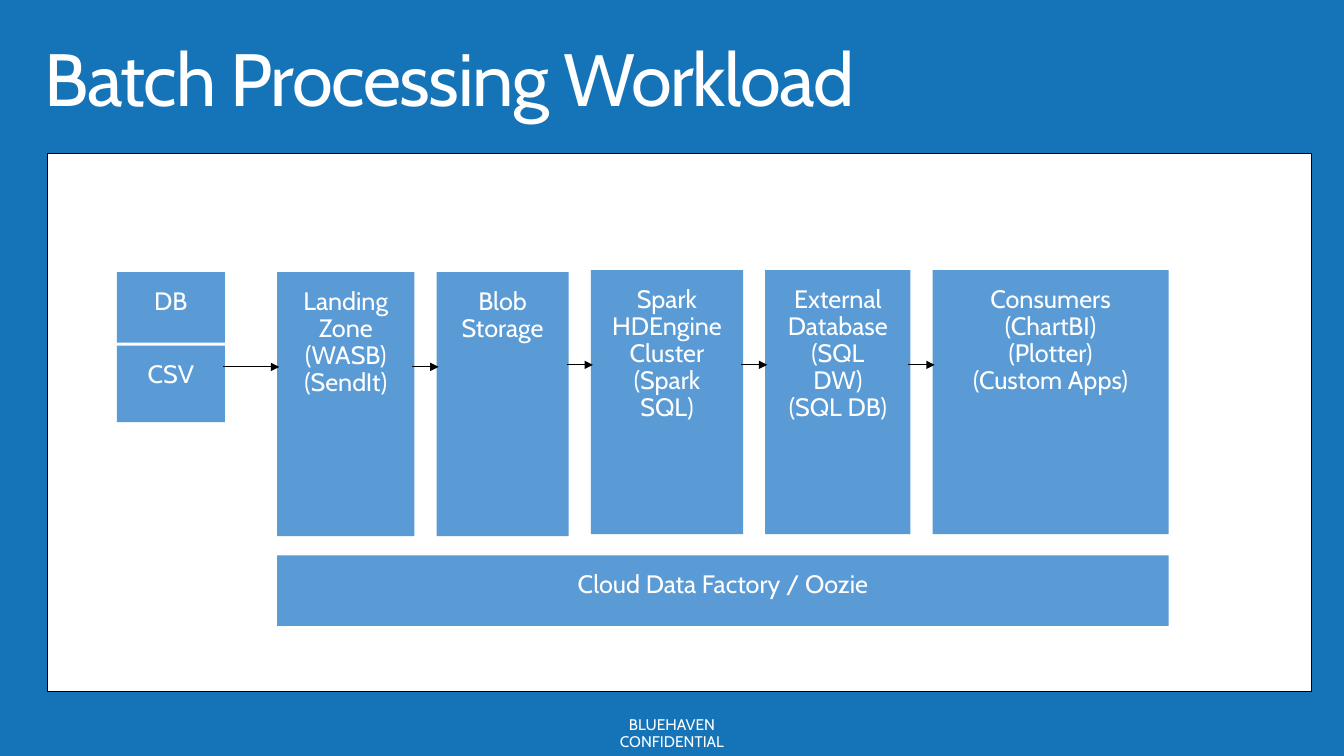
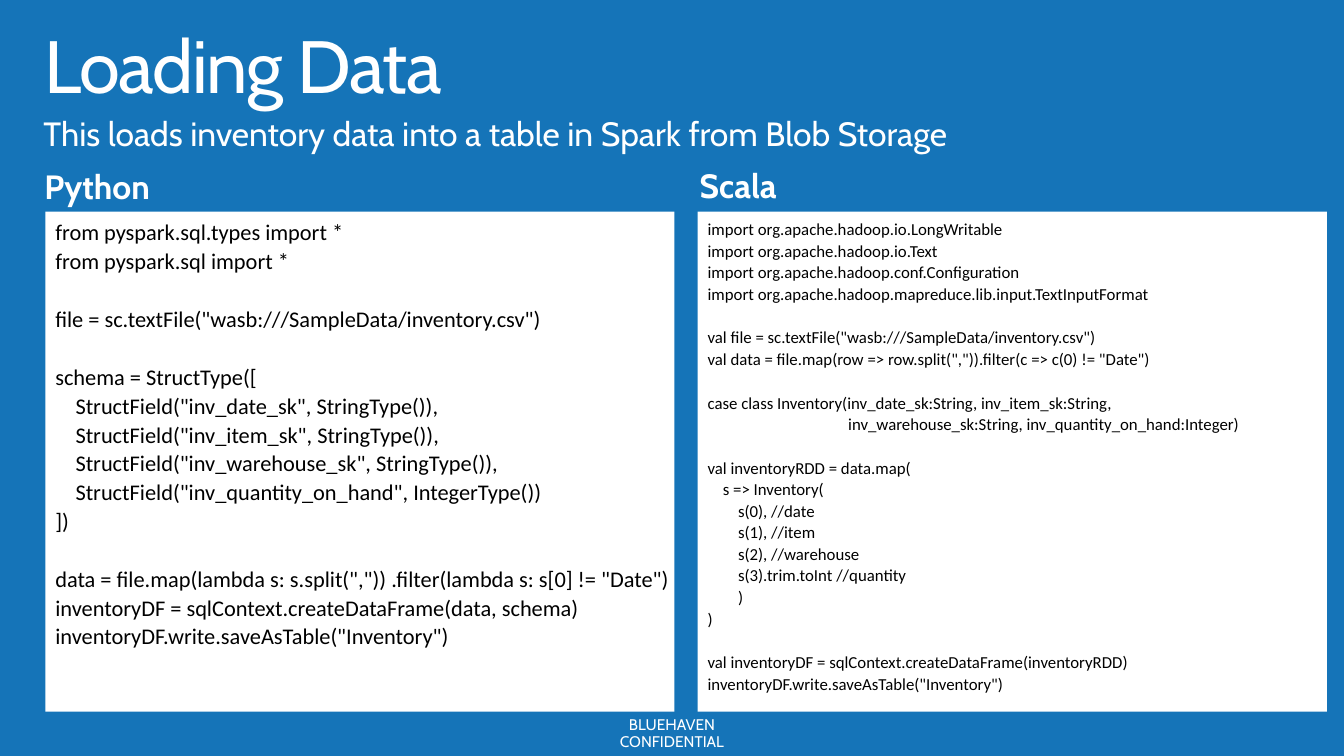
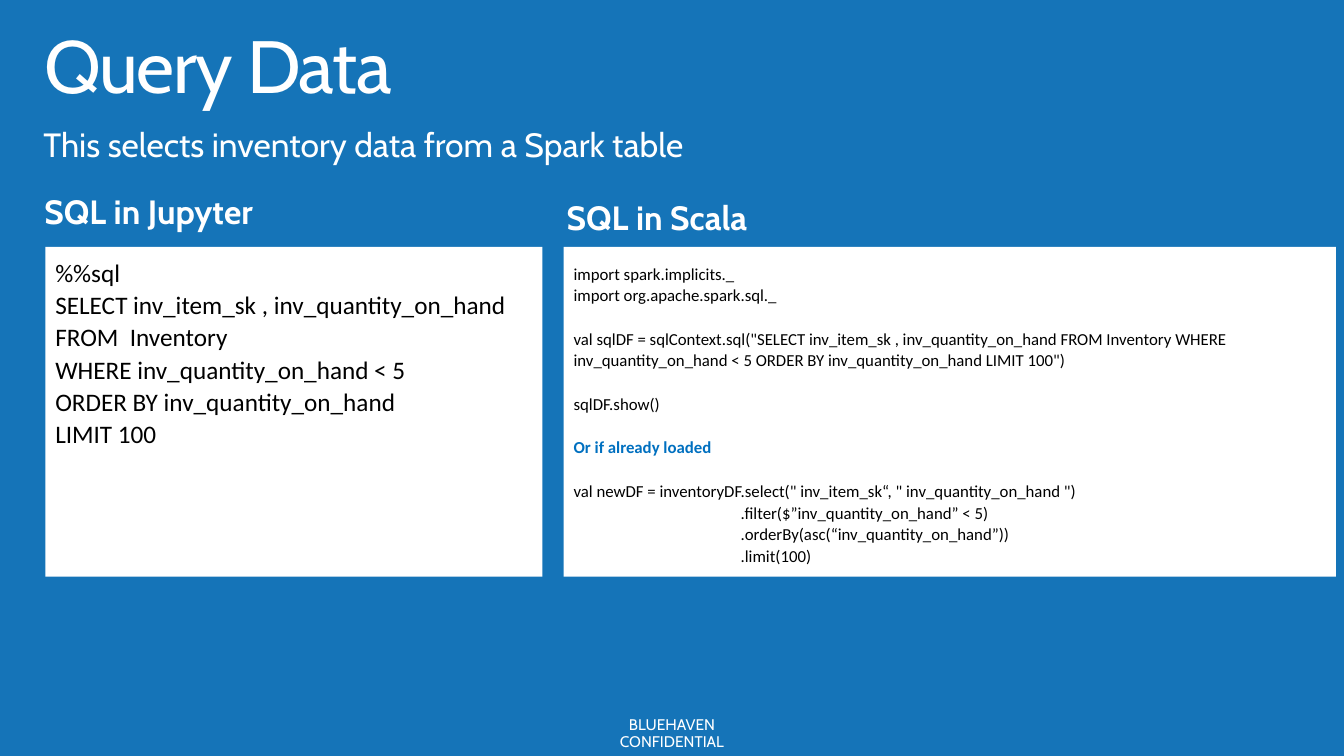
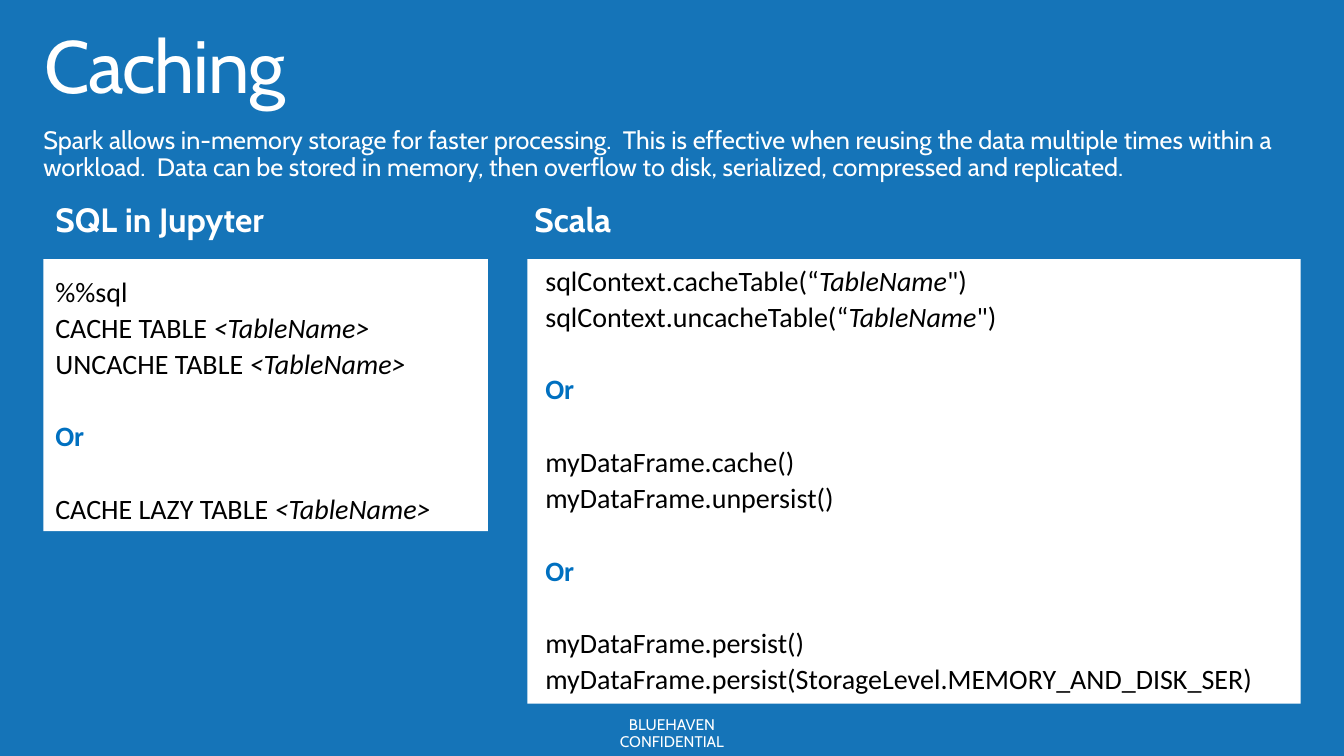
from dataclasses import dataclass

from lxml.etree import SubElement
from pptx import Presentation
from pptx.dml.color import RGBColor
from pptx.enum.shapes import MSO_CONNECTOR, MSO_SHAPE
from pptx.enum.text import MSO_ANCHOR, MSO_AUTO_SIZE, PP_ALIGN
from pptx.oxml.ns import qn
from pptx.util import Inches, Pt


@dataclass(frozen=True)
class Theme:
    back: str = "1574B8"
    panel: str = "FFFFFF"
    box: str = "5B9BD5"
    light: str = "FFFFFF"
    ink: str = "000000"
    accent: str = "0070C0"
    font: str = "Cabin"
    code_font: str = "Calibri"
    title: float = 52.9
    label: float = 24
    body: float = 18
    footer: float = 11
    wide_inset: tuple = (0.2, 0.16)
    title_inset: tuple = (0.16, 0.1)
    code_inset: tuple = (0.1, 0.05)
    tight: float = 0.9
    code_leading: float = 1.07
    code_line: float = 1.31   # height of an empty code line, in ems
    code_space: float = 0.226  # width of a space, in ems


T = Theme()
FOOTER = "BLUEHAVEN CONFIDENTIAL"

# Workflow content: stages run left to right as (width, top, paragraphs)
FLOW_TITLE = "Batch Processing Workload"
SOURCES = [("DB", 2.7, 0.7), ("CSV", 3.43, 0.76)]
STAGES = [
    (1.36, 2.7, ["Landing Zone", "(WASB) (SendIt)"]),
    (1.31, 2.7, ["Blob Storage"]),
    (1.51, 2.68, ["Spark HDEngine Cluster", "(Spark SQL)"]),
    (1.44, 2.68, ["External Database", "(SQL DW)", "(SQL DB)"]),
    (2.34, 2.68, ["Consumers", "(ChartBI)", "(Plotter)", "(Custom Apps)"]),
]
ORCHESTRATION = "Cloud Data Factory / Oozie"

# Code listings: "" opens a gap, (n, text) indents by n spaces
LOAD_PYTHON = [
    "from pyspark.sql.types import *",
    "from pyspark.sql import *",
    "",
    'file = sc.textFile("wasb:///SampleData/inventory.csv")',
    "",
    "schema = StructType([",
    (4, 'StructField("inv_date_sk", StringType()),'),
    (4, 'StructField("inv_item_sk", StringType()),'),
    (4, 'StructField("inv_warehouse_sk", StringType()),'),
    (4, 'StructField("inv_quantity_on_hand", IntegerType())'),
    "])",
    "",
    'data = file.map(lambda s: s.split(",")) .filter(lambda s: s[0] != "Date")',
    "inventoryDF = sqlContext.createDataFrame(data, schema)",
    'inventoryDF.write.saveAsTable("Inventory")',
]
LOAD_SCALA = [
    "import org.apache.hadoop.io.LongWritable",
    "import org.apache.hadoop.io.Text",
    "import org.apache.hadoop.conf.Configuration",
    "import org.apache.hadoop.mapreduce.lib.input.TextInputFormat",
    "",
    'val file = sc.textFile("wasb:///SampleData/inventory.csv")',
    'val data = file.map(row => row.split(",")).filter(c => c(0) != "Date")',
    "",
    "case class Inventory(inv_date_sk:String, inv_item_sk:String,",
    (37, "inv_warehouse_sk:String, inv_quantity_on_hand:Integer)"),
    "",
    "val inventoryRDD = data.map(",
    (4, "s => Inventory("),
    (8, "s(0), //date"),
    (8, "s(1), //item"),
    (8, "s(2), //warehouse"),
    (8, "s(3).trim.toInt //quantity"),
    (8, ")"),
    ")",
    "",
    "val inventoryDF = sqlContext.createDataFrame(inventoryRDD)",
    'inventoryDF.write.saveAsTable("Inventory")',
]
QUERY_SQL = [
    "%%sql",
    "SELECT inv_item_sk , inv_quantity_on_hand",
    "FROM  Inventory",
    "WHERE inv_quantity_on_hand < 5",
    "ORDER BY inv_quantity_on_hand",
    "LIMIT 100",
]
QUERY_SCALA = [
    "import spark.implicits._",
    "import org.apache.spark.sql._",
    "",
    'val sqlDF = sqlContext.sql("SELECT inv_item_sk , inv_quantity_on_hand FROM Inventory WHERE '
    'inv_quantity_on_hand < 5 ORDER BY inv_quantity_on_hand LIMIT 100")',
    "",
    "sqlDF.show()",
    "",
    "Or if already loaded",
    "",
    'val newDF = inventoryDF.select(" inv_item_sk“, " inv_quantity_on_hand ")',
    (44, ".filter($”inv_quantity_on_hand” < 5)"),
    (44, ".orderBy(asc(“inv_quantity_on_hand”))"),
    (44, ".limit(100)"),
]
CACHE_SQL = [
    "%%sql",
    "CACHE TABLE <TableName>",
    "UNCACHE TABLE <TableName>",
    "",
    "Or",
    "",
    "CACHE LAZY TABLE <TableName>",
]
CACHE_SCALA = [
    'sqlContext.cacheTable(“TableName")',
    'sqlContext.uncacheTable(“TableName")',
    "",
    "Or",
    "",
    "myDataFrame.cache()",
    "myDataFrame.unpersist()",
    "",
    "Or",
    "",
    "myDataFrame.persist()",
    "myDataFrame.persist(StorageLevel.MEMORY_AND_DISK_SER)",
]
HINTS = ("Or", "Or if already loaded")
VARIABLES = ("<TableName>", "TableName")

# Code slides: rectangles are (left, top, width, height)
CODE_SLIDES = [
    dict(title="Loading Data",
         intro="This loads inventory data into a table in Spark from Blob Storage",
         intro_at=(0.23, 1.01, 9.98, 0.69), intro_size=T.label, wrap=False,
         columns=[
             dict(label="Python", label_at=(0.24, 1.53, 1.54, 0.69), panel=(0.45, 2.1, 6.24, 4.96),
                  code_at=(0.45, 2.1, 6.35, 4.42), size=16, code=LOAD_PYTHON),
             dict(label="Scala", label_at=(6.74, 1.52, 1.21, 0.69), panel=(6.92, 2.1, 6.24, 4.96),
                  code_at=(6.92, 2.11, 6.35, 4.86), size=12, code=LOAD_SCALA)]),
    dict(title="Query Data",
         intro="This selects inventory data from a Spark table",
         intro_at=(0.23, 1.11, 7.14, 0.69), intro_size=T.label, wrap=False,
         columns=[
             dict(label="SQL in Jupyter", label_at=(0.24, 1.78, 2.7, 0.69), panel=(0.45, 2.45, 4.93, 3.27),
                  code_at=(0.45, 2.48, 4.93, 2.03), size=18, code=QUERY_SQL),
             dict(label="SQL in Scala", label_at=(5.42, 1.84, 2.31, 0.69), panel=(5.59, 2.45, 7.66, 3.27),
                  code_at=(5.59, 2.55, 7.75, 3.1), size=12, code=QUERY_SCALA)]),
    dict(title="Caching",
         intro="Spark allows in-memory storage for faster processing.  This is effective when reusing "
               "the data multiple times within a workload.  Data can be stored in memory, then overflow "
               "to disk, serialized, compressed and replicated.",
         intro_at=(0.23, 1.11, 12.67, 0.87), intro_size=T.body, wrap=True,
         columns=[
             dict(label="SQL in Jupyter", label_at=(0.35, 1.86, 2.7, 0.69), panel=(0.43, 2.57, 4.41, 2.7),
                  code_at=(0.45, 2.65, 3.99, 2.62), size=20, code=CACHE_SQL),
             dict(label="Scala", label_at=(5.1, 1.86, 1.21, 0.69), panel=(5.23, 2.57, 7.67, 4.41),
                  code_at=(5.31, 2.54, 7.48, 4.4), size=20, code=CACHE_SCALA)]),
]


def rgb(color):
    return RGBColor.from_string(color)


def inches(rect):
    return [Inches(v) for v in rect]


def style(r, size, color, font=T.font, bold=False, italic=False):
    f = r.font
    f.name, f.size, f.bold, f.italic = font, Pt(size), bold, italic
    f.color.rgb = rgb(color)


def frame(sp, inset, wrap=True, anchor=MSO_ANCHOR.TOP, fit=MSO_AUTO_SIZE.NONE):
    tf = sp.text_frame
    tf.margin_left = tf.margin_right = Inches(inset[0])
    tf.margin_top = tf.margin_bottom = Inches(inset[1])
    tf.word_wrap, tf.vertical_anchor, tf.auto_size = wrap, anchor, fit
    return tf


def fill_text(tf, lines, size, align=PP_ALIGN.LEFT, bold=False, after=0):
    tf.text = "\n".join(lines)
    for p in tf.paragraphs:
        p.alignment, p.line_spacing, p.space_after = align, T.tight, Pt(after)
        for r in p.runs:
            style(r, size, T.light, bold=bold)


def add_text(s, rect, text, size, wrap=False, anchor=MSO_ANCHOR.TOP, **kw):
    sp = s.shapes.add_textbox(*inches(rect))
    tf = frame(sp, T.wide_inset, wrap, anchor, MSO_AUTO_SIZE.SHAPE_TO_FIT_TEXT)
    fill_text(tf, [text], size, after=6, **kw)
    return sp


def add_rect(s, rect, color, line=None):
    sp = s.shapes.add_shape(MSO_SHAPE.RECTANGLE, *inches(rect))
    sp.shadow.inherit = False
    sp.fill.solid()
    sp.fill.fore_color.rgb = rgb(color)
    if line:
        sp.line.color.rgb = rgb(line)
        sp.line.width = Pt(0.85)
    else:
        sp.line.fill.background()
    return sp


def add_box(s, rect, lines):
    sp = add_rect(s, rect, T.box)
    fill_text(frame(sp, T.wide_inset), lines, T.body, PP_ALIGN.CENTER)


def add_arrow(s, x1, x2, y):
    cx = s.shapes.add_connector(MSO_CONNECTOR.STRAIGHT, *inches((x1, y, x2, y)))
    cx.line.color.rgb = rgb(T.ink)
    cx.line.width = Pt(0.75)
    SubElement(cx.line._get_or_add_ln(), qn("a:tailEnd"), type="triangle")
    SubElement(cx._element.spPr, qn("a:effectLst"))


def add_code(s, rect, code, size):
    tf = frame(s.shapes.add_textbox(*inches(rect)), T.code_inset,
               fit=MSO_AUTO_SIZE.SHAPE_TO_FIT_TEXT)
    p, gap = tf.paragraphs[0], 0
    for i, line in enumerate(code):
        if not line:
            gap = size * T.code_line
            continue
        indent, text = line if isinstance(line, tuple) else (0, line)
        p = tf.add_paragraph() if i else p
        p.line_spacing, p.space_before = T.code_leading, Pt(gap)
        gap = 0
        if indent:
            p._p.get_or_add_pPr().set("marL", str(Pt(indent * T.code_space * size)))
        # Variable names are italic, hints bold and coloured
        hint = text in HINTS
        name = next((v for v in VARIABLES if v in text), None)
        for part in text.partition(name) if name else [text]:
            if part:
                r = p.add_run()
                r.text = part
                style(r, size, T.accent if hint else T.ink, T.code_font, hint, part == name)


def add_slide(prs, title, top):
    s = prs.slides.add_slide(prs.slide_layouts[5])
    sp = s.shapes.title
    sp.left, sp.top, sp.width, sp.height = inches((0.28, top, 12.62, 0.98))
    tf = frame(sp, T.title_inset)
    fill_text(tf, [title], T.title)
    tf.paragraphs[0].runs[0]._r.get_or_add_rPr().set("spc", "-100")
    return s


def add_flow(s):
    add_rect(s, (0.47, 1.52, 12.54, 5.34), T.panel, T.ink)
    # Sources
    left, width = 1.16, 1.07
    for name, top, height in SOURCES:
        add_box(s, (left, top, width, height), [name])
    # Stages, each reached by an arrow from the part before it
    gap, height, overlap = 0.22, 2.62, 0.02
    start = x = 2.75
    before = left + width
    for width, top, lines in STAGES:
        add_box(s, (x, top, width, height), lines)
        add_arrow(s, before - overlap, x + overlap, top + 0.94)
        before = x + width
        x = before + gap
    # Orchestration bar under all stages
    add_box(s, (start, 5.51, before - start, 0.7), [ORCHESTRATION])


def add_code_slide(prs, data):
    s = add_slide(prs, data["title"], 0.19)
    add_text(s, data["intro_at"], data["intro"], data["intro_size"], data["wrap"])
    for col in data["columns"]:
        add_rect(s, col["panel"], T.panel)
        add_code(s, col["code_at"], col["code"], col["size"])
        add_text(s, col["label_at"], col["label"], T.label, bold=True)


def main():
    prs = Presentation()
    prs.slide_width, prs.slide_height = Inches(13.33), Inches(7.5)
    master = prs.slide_master
    master.background.fill.solid()
    master.background.fill.fore_color.rgb = rgb(T.back)

    s = add_slide(prs, FLOW_TITLE, 0.32)
    # The footer belongs to the master, so every slide shows it
    footer = add_text(s, (5.51, 7.04, 2.31, 0.48), FOOTER, T.footer,
                      anchor=MSO_ANCHOR.MIDDLE, align=PP_ALIGN.CENTER)
    master.shapes.element.append(footer.element)
    add_flow(s)
    for data in CODE_SLIDES:
        add_code_slide(prs, data)
    prs.save("out.pptx")


if __name__ == "__main__":
    main()
